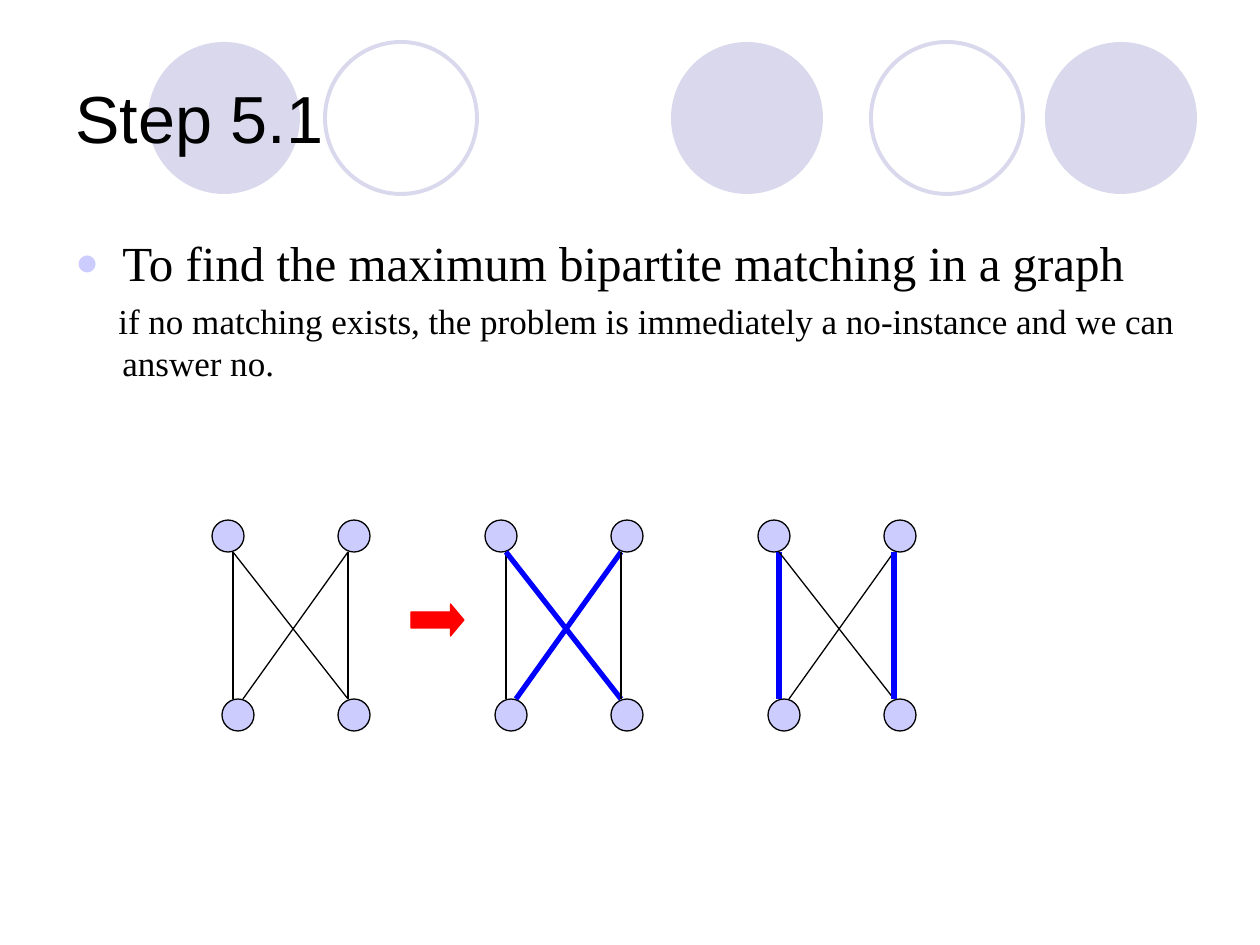
from dataclasses import dataclass

from lxml import etree
from pptx import Presentation
from pptx import util as u
from pptx.dml.color import RGBColor
from pptx.enum import shapes, text
from pptx.oxml import ns

SCALE = 914400 / 126
BLACK = RGBColor(0x00, 0x00, 0x00)
BLUE = RGBColor(0x00, 0x00, 0xFF)
RED = RGBColor(0xFF, 0x00, 0x00)
LILAC = RGBColor(0xCC, 0xCC, 0xFF)
PALE = RGBColor(0xD9, 0xD8, 0xEC)
OVAL = shapes.MSO_SHAPE.OVAL
ARROW = shapes.MSO_SHAPE.RIGHT_ARROW


@dataclass(frozen=True)
class Disc:
    left: int
    top: int
    full: bool


@dataclass(frozen=True)
class Edge:
    x1: int
    x2: int


@dataclass(frozen=True)
class Graph:
    left: int
    match: tuple


DISCS = (
    Disc(671, 42, True),
    Disc(1045, 42, True),
    Disc(148, 42, True),
    Disc(871, 42, False),
    Disc(325, 42, False),
)
NODES = ((0, 520), (10, 699), (126, 699), (126, 520))
EDGES = (Edge(136, 31), Edge(21, 21), Edge(21, 136), Edge(136, 136))
GRAPHS = (Graph(212, ()), Graph(485, (0, 2)), Graph(758, (1, 3)))


def px(n: int) -> u.Emu:
    return u.Emu(round(n * SCALE))


def draw(kit, kind, box: tuple, fill=None, line=None, width: float = 0.75):
    shape = kit.add_shape(kind, *map(px, box))
    shape.shadow.inherit = False
    if fill is None:
        shape.fill.background()
    else:
        shape.fill.solid()
        shape.fill.fore_color.rgb = fill
    if line is None:
        shape.line.fill.background()
    else:
        shape.line.color.rgb = line
        shape.line.width = u.Pt(width)
    return shape


def link(kit, x: int, edge: Edge, bold: bool) -> None:
    line = kit.add_connector(
        shapes.MSO_CONNECTOR.STRAIGHT,
        px(x + edge.x1), px(552), px(x + edge.x2), px(699),
    )
    line.line.color.rgb = BLUE if bold else BLACK
    line.line.width = u.Pt(3 if bold else 0.75)
    props = line.element.find(ns.qn("p:spPr"))
    etree.SubElement(props, ns.qn("a:effectLst"))


def plot(kit, graph: Graph) -> None:
    for x, y in NODES:
        draw(kit, OVAL, (graph.left + x, y, 32, 32), LILAC, BLACK)
    for i, edge in enumerate(EDGES):
        link(kit, graph.left, edge, i in graph.match)


def place(shape, box: tuple, anchor) -> None:
    spots = zip(("left", "top", "width", "height"), box)
    for name, size in spots:
        setattr(shape, name, px(size))
    frame = shape.text_frame
    look = {
        "word_wrap": True,
        "auto_size": text.MSO_AUTO_SIZE.NONE,
        "vertical_anchor": anchor,
    }
    for name, value in look.items():
        setattr(frame, name, value)


def style(para, words: str, font: str, size: int) -> None:
    para.text = words
    para.alignment = text.PP_ALIGN.LEFT
    look = {"name": font, "size": u.Pt(size), "bold": False}
    for name, value in look.items():
        setattr(para.font, name, value)
    para.font.color.rgb = BLACK


def indent(para, first: int) -> None:
    props = para._p.get_or_add_pPr()
    props.set("marL", str(px(47)))
    props.set("indent", str(px(first)))


def bullet(para) -> None:
    props = para._p.get_or_add_pPr()
    tint = etree.SubElement(props, ns.qn("a:buClr"))
    etree.SubElement(tint, ns.qn("a:srgbClr"), val=str(LILAC))
    etree.SubElement(props, ns.qn("a:buSzPct"), val="80000")
    etree.SubElement(props, ns.qn("a:buFont"), typeface="Arial")
    etree.SubElement(props, ns.qn("a:buChar"), char="●")


def main() -> None:
    deck = Presentation()
    deck.slide_width, deck.slide_height = px(1260), px(945)
    slide = deck.slides.add_slide(deck.slide_layouts[5])
    kit = slide.shapes

    for disc in DISCS:
        fill, line = (PALE, None) if disc.full else (None, PALE)
        box = (disc.left, disc.top, 152, 152)
        last = draw(kit, OVAL, box, fill, line, 2.25)

    title = kit.title
    last.element.addnext(title.element)
    place(title, (63, 38, 1134, 158), text.MSO_ANCHOR.MIDDLE)
    style(title.text_frame.paragraphs[0], "Step 5.1", "Arial", 38)

    body = kit.add_textbox(0, 0, 0, 0)
    place(body, (63, 226, 1134, 618), text.MSO_ANCHOR.TOP)
    goal = body.text_frame.paragraphs[0]
    indent(goal, -47)
    bullet(goal)
    style(goal, "To find the maximum bipartite matching in a graph",
          "Times New Roman", 28)
    note = body.text_frame.add_paragraph()
    indent(note, -4)
    style(note, "if no matching exists, the problem is immediately "
          "a no-instance and we can answer no.", "Times New Roman", 20)
    note.space_before = u.Pt(5)

    for graph in GRAPHS:
        plot(kit.add_group_shape().shapes, graph)

    arrow = draw(kit, ARROW, (411, 604, 53, 32), RED, RED)
    arrow.adjustments[0] = 0.5
    arrow.adjustments[1] = 0.42

    deck.save("out.pptx")


if __name__ == "__main__":
    main()
